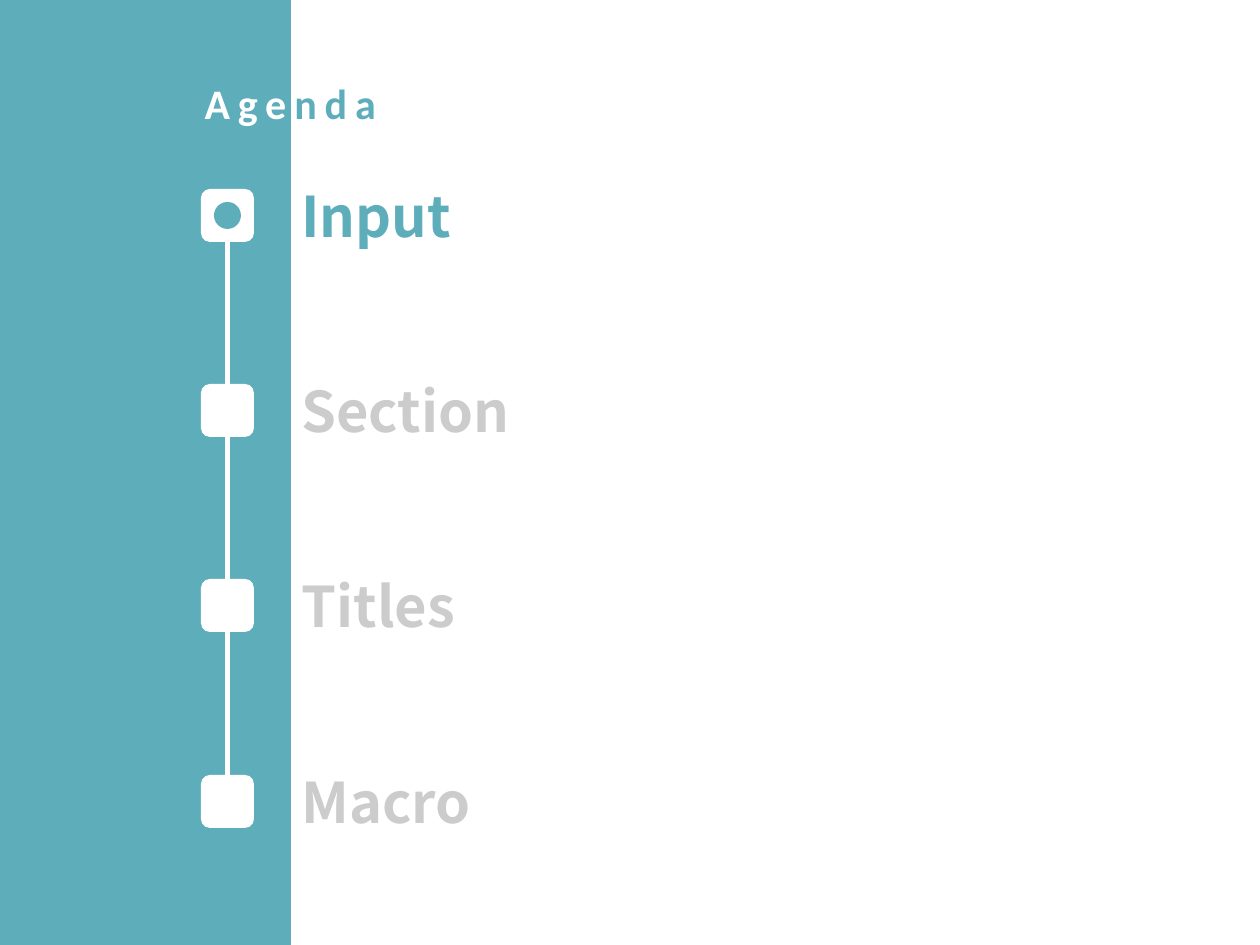
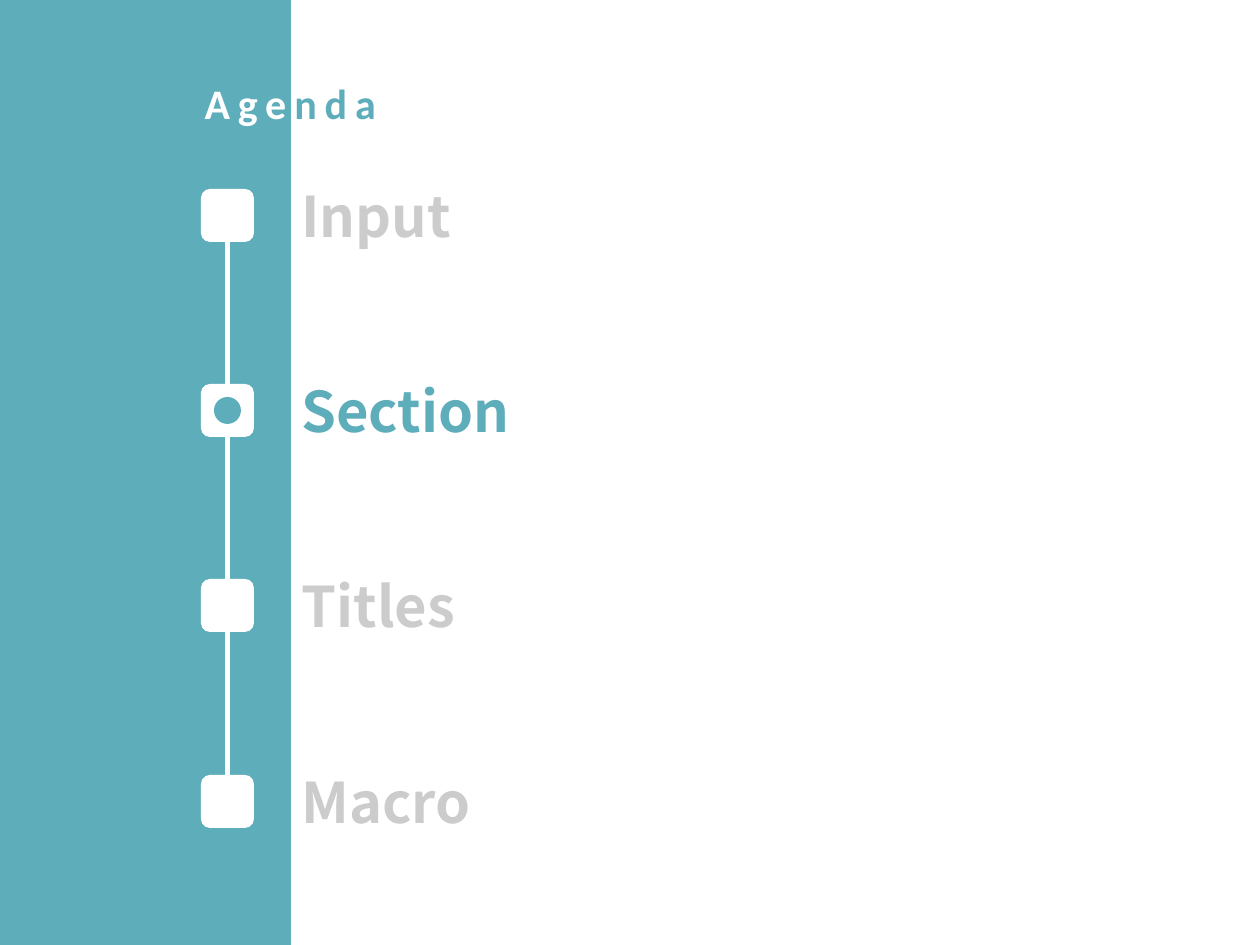
"""Build the agenda slides, each highlighting one section on a timeline."""
from pptx import Presentation
from pptx.dml.color import RGBColor
from pptx.enum import shapes, text
from pptx.util import Pt

SECTIONS = ["Input", "Section", "Titles", "Macro"]
ACTIVE_SECTIONS = ["Input", "Section"]
TITLE_PARTS = [("Age", "white"), ("nda", "teal")]

COLORS = {"teal": "5EADBB", "white": "FFFFFF", "muted": "CCCCCC"}
TITLE_FONT, LABEL_FONT = "Calibri", "Noto Sans CJK JP"
TITLE_SIZE, LABEL_SIZE = 24, 32
TITLE_SPACING = 4.5

SCALE = 914400 / 126
WIDTH, HEIGHT = 1260, 945
BAND_WIDTH = 291
TITLE_BOX = (192, 71, 396, 63)
NODE_LEFT, NODE_SIZE = 201, 53
FIRST_TOP, LAST_TOP = 189, 775
RAIL_WIDTH, DOT_SIZE = 5, 27
LABEL_LEFT, LABEL_WIDTH, LABEL_HEIGHT = 289, 927, 81


def px(length):
    return round(length * SCALE)


def centered(outer, inner):
    return (outer - inner) // 2


def add_block(slide, kind, box, color):
    shape = slide.shapes.add_shape(kind, *map(px, box))
    shape.shadow.inherit = False
    shape.fill.solid()
    shape.fill.fore_color.rgb = RGBColor.from_string(COLORS[color])
    shape.line.fill.background()
    return shape


def write(shape, parts, font_name, size, anchor, spacing=None):
    frame = shape.text_frame
    frame.word_wrap = True
    frame.auto_size = text.MSO_AUTO_SIZE.NONE
    frame.vertical_anchor = anchor
    paragraph = frame.paragraphs[0]
    paragraph.alignment = text.PP_ALIGN.LEFT
    for words, color in parts:
        run = paragraph.add_run()
        run.text = words
        run.font.name = font_name
        run.font.size = Pt(size)
        run.font.bold = True
        run.font.color.rgb = RGBColor.from_string(COLORS[color])
        if spacing:
            run.font._element.set("spc", str(round(spacing * 100)))


def add_frame(slide):
    band = add_block(slide, shapes.MSO_SHAPE.RECTANGLE, (0, 0, BAND_WIDTH, HEIGHT), "teal")
    title = slide.shapes.title
    title._element.addprevious(band._element)
    title.left, title.top, title.width, title.height = map(px, TITLE_BOX)
    write(title, TITLE_PARTS, TITLE_FONT, TITLE_SIZE, text.MSO_ANCHOR.TOP, TITLE_SPACING)


def add_section(slide, name, top, active):
    label_top = top + centered(NODE_SIZE, LABEL_HEIGHT)
    label = slide.shapes.add_textbox(
        *map(px, (LABEL_LEFT, label_top, LABEL_WIDTH, LABEL_HEIGHT)))
    color = "teal" if active else "muted"
    write(label, [(name, color)], LABEL_FONT, LABEL_SIZE, text.MSO_ANCHOR.MIDDLE)
    add_block(slide, shapes.MSO_SHAPE.ROUNDED_RECTANGLE,
              (NODE_LEFT, top, NODE_SIZE, NODE_SIZE), "white")
    if active:
        inset = centered(NODE_SIZE, DOT_SIZE)
        add_block(slide, shapes.MSO_SHAPE.OVAL,
                  (NODE_LEFT + inset, top + inset, DOT_SIZE, DOT_SIZE), "teal")


def add_agenda(presentation, active_section):
    slide = presentation.slides.add_slide(presentation.slide_layouts.get_by_name("Title Only"))
    add_frame(slide)
    rail_left = NODE_LEFT + centered(NODE_SIZE, RAIL_WIDTH)
    add_block(slide, shapes.MSO_SHAPE.RECTANGLE,
              (rail_left, FIRST_TOP + NODE_SIZE // 2, RAIL_WIDTH, LAST_TOP - FIRST_TOP), "white")
    for index, name in enumerate(SECTIONS):
        top = FIRST_TOP + (LAST_TOP - FIRST_TOP) * index // (len(SECTIONS) - 1)
        add_section(slide, name, top, name == active_section)


def main():
    presentation = Presentation()
    presentation.slide_width, presentation.slide_height = px(WIDTH), px(HEIGHT)
    for active_section in ACTIVE_SECTIONS:
        add_agenda(presentation, active_section)
    presentation.save("out.pptx")


if __name__ == "__main__":
    main()
